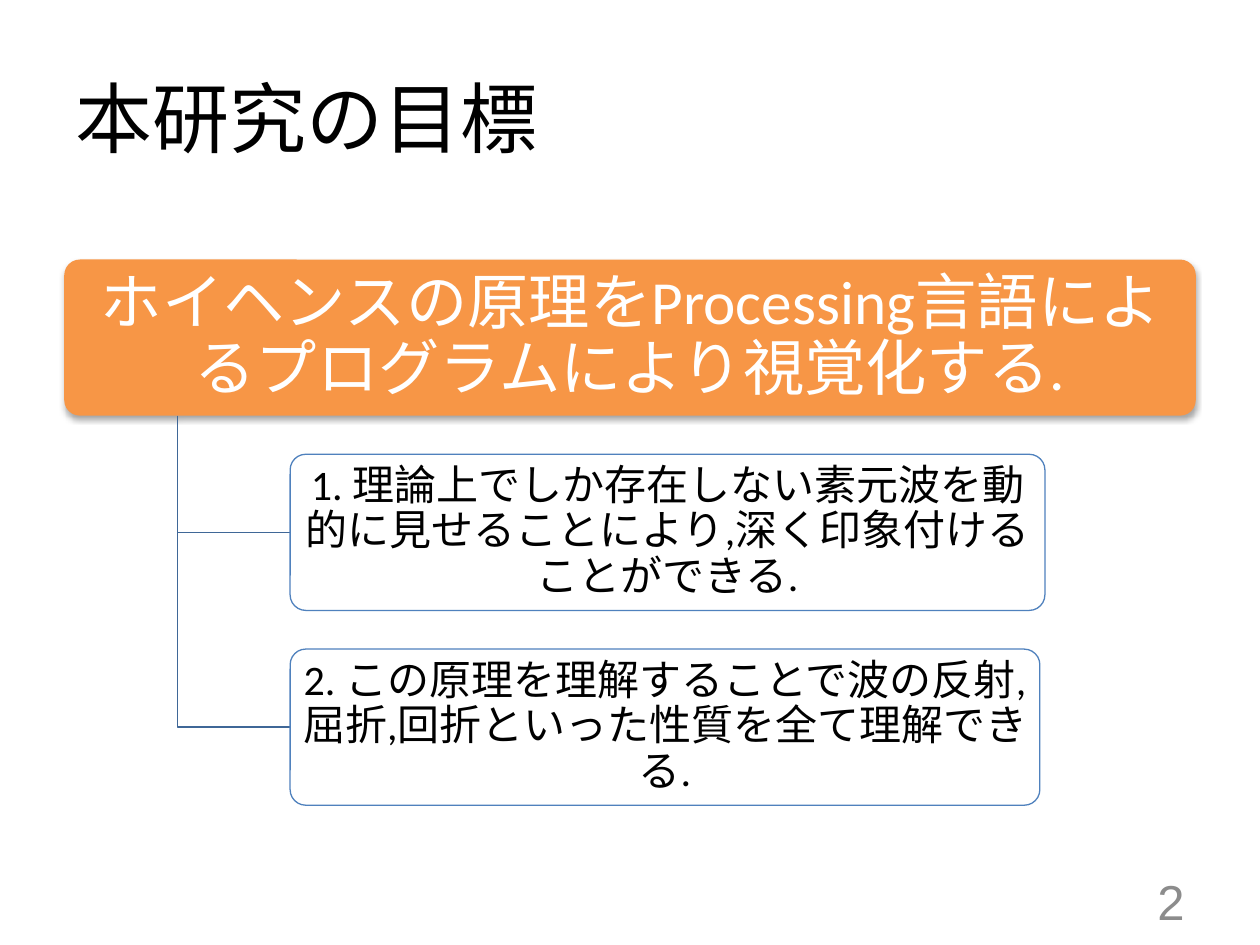
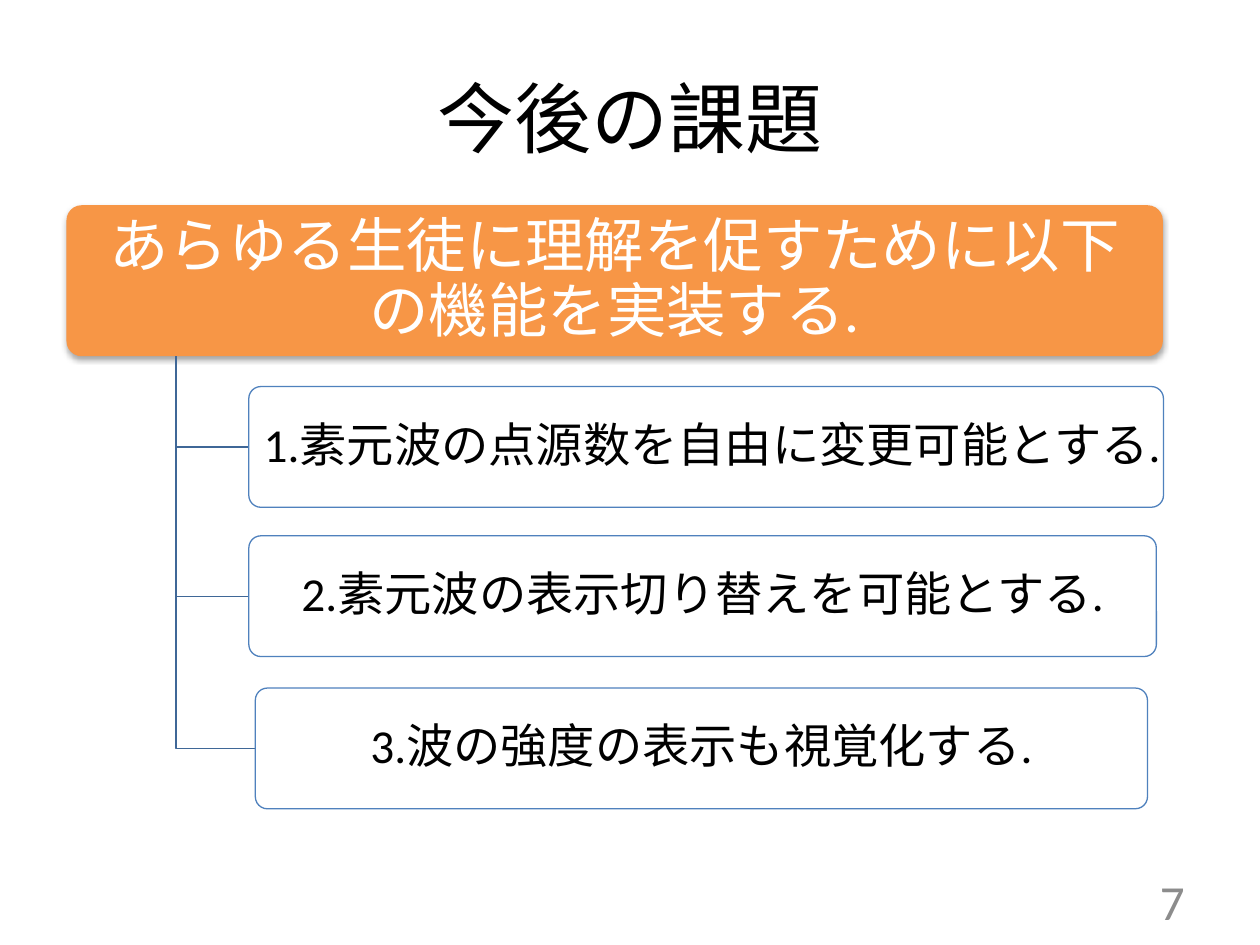
"""Build two slides that each show one goal branching into numbered points."""
import pptx
import pptx.dml.color
import pptx.enum.shapes
import pptx.enum.text
import pptx.oxml
import pptx.oxml.ns
import pptx.util

Pt = pptx.util.Pt
Align = pptx.enum.text.PP_ALIGN
ROUNDED = pptx.enum.shapes.MSO_SHAPE.ROUNDED_RECTANGLE
COLOURS = {
    "goal": "F79646",
    "white": "FFFFFF",
    "text": "000000",
    "branch": "3F6797",
    "border": "4F81BD",
    "number": "8C8C8C",
}
SHADOW = (
    '<a:outerShdw %s blurRad="39370" dist="22860" dir="5400000" rotWithShape="0">'
    '<a:srgbClr val="000000"><a:alpha val="35000"/></a:srgbClr></a:outerShdw>'
    % pptx.oxml.ns.nsdecls("a")
)
TITLE_ONLY = 5

SLIDES = [
    {
        "title": "本研究の目標", "align": Align.LEFT,
        "number": "2", "number_font": "Arial",
        "goal": "ホイヘンスの原理をProcessing言語によるプログラムにより視覚化する.",
        "goal_place": (36.7, 148.3, 646.6, 89.2), "goal_size": 35,
        "point_size": 24, "point_height": 89.2, "point_inset": (3.8, 2.5),
        "points": [
            ("1. 理論上でしか存在しない素元波を動的に見せることにより,深く印象付けることができる.",
             165.8, 259.6, 431.3),
            ("2. この原理を理解することで波の反射,屈折,回折といった性質を全て理解できる.",
             165.8, 370.9, 428.4),
        ],
    },
    {
        "title": "今後の課題", "align": Align.CENTER,
        "number": "7", "number_font": "Calibri",
        "goal": "あらゆる生徒に理解を促すために以下の機能を実装する.",
        "goal_place": (38, 117.3, 626.5, 86.3), "goal_size": 34,
        "point_size": 27, "point_height": 69, "point_inset": (4.3, 2.8),
        "points": [
            ("1.素元波の点源数を自由に変更可能とする.", 142.2, 220.9, 522.7),
            ("2.素元波の表示切り替えを可能とする.", 142.2, 306.2, 518.6),
            ("3.波の強度の表示も視覚化する.", 145.9, 393.2, 509.8),
        ],
    },
]


def write(box, text, size=24, colour="text", font="Calibri", align=Align.CENTER,
          inset=(7.2, 3.6), spacing=None):
    """Put one formatted paragraph in the box."""
    frame = box.text_frame
    frame.word_wrap = True
    frame.vertical_anchor = pptx.enum.text.MSO_ANCHOR.MIDDLE
    frame.margin_left = frame.margin_right = Pt(inset[0])
    frame.margin_top = frame.margin_bottom = Pt(inset[1])
    para = frame.paragraphs[0]
    para.alignment = align
    if spacing:
        para.line_spacing = spacing
    span = para.add_run()
    span.text = text
    span.font.size = Pt(size)
    span.font.name = font
    span.font.color.rgb = pptx.dml.color.RGBColor.from_string(COLOURS[colour])


def paint(shape, fill=None, line=None):
    """Set the fill and line of a shape and clear its shadow."""
    shape.shadow.inherit = False
    if fill:
        shape.fill.solid()
        shape.fill.fore_color.rgb = pptx.dml.color.RGBColor.from_string(COLOURS[fill])
    else:
        shape.fill.background()
    if line:
        shape.line.color.rgb = pptx.dml.color.RGBColor.from_string(COLOURS[line])
        shape.line.width = Pt(0.75)
    else:
        shape.line.fill.background()


deck = pptx.Presentation()
deck.slide_width, deck.slide_height = Pt(720), Pt(540)

for content in SLIDES:
    page = deck.slides.add_slide(deck.slide_layouts[TITLE_ONLY])
    title = page.shapes.title
    title.left, title.top, title.width, title.height = Pt(36), Pt(21.6), Pt(648), Pt(90)
    write(title, content["title"], size=44, align=content["align"])

    left, top, width, height = content["goal_place"]
    goal = page.shapes.add_shape(ROUNDED, Pt(left), Pt(top), Pt(width), Pt(height))
    goal.adjustments[0] = 0.1
    paint(goal, fill="goal")
    effects = goal._element.spPr.find(pptx.oxml.ns.qn("a:effectLst"))
    effects.append(pptx.oxml.parse_xml(SHADOW))
    write(goal, content["goal"], size=content["goal_size"], colour="white",
          inset=(5.25, 3.5), spacing=0.9)

    trunk = left + width / 10
    for text, point_left, point_top, point_width in content["points"]:
        middle = point_top + content["point_height"] / 2
        outline = page.shapes.build_freeform(Pt(trunk), Pt(top + height))
        outline.add_line_segments(
            [(Pt(trunk), Pt(middle)), (Pt(point_left), Pt(middle))], close=False)
        paint(outline.convert_to_shape(), line="branch")

        point = page.shapes.add_shape(ROUNDED, Pt(point_left), Pt(point_top),
                                      Pt(point_width), Pt(content["point_height"]))
        point.adjustments[0] = 0.1
        paint(point, fill="white", line="border")
        write(point, text, size=content["point_size"],
              inset=content["point_inset"], spacing=0.9)

    number = page.shapes.add_textbox(Pt(516), Pt(500.5), Pt(168), Pt(28.75))
    write(number, content["number"], size=28, colour="number",
          font=content["number_font"], align=Align.RIGHT)

deck.save("out.pptx")
